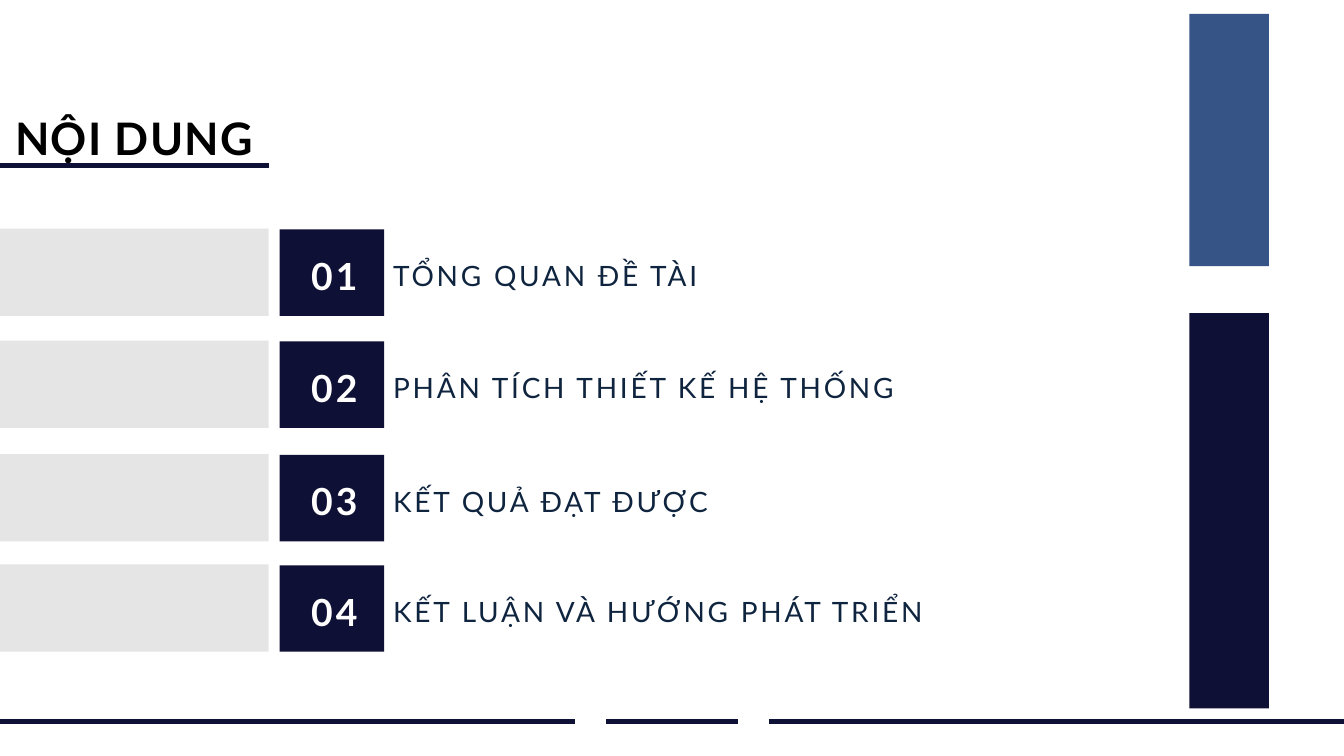
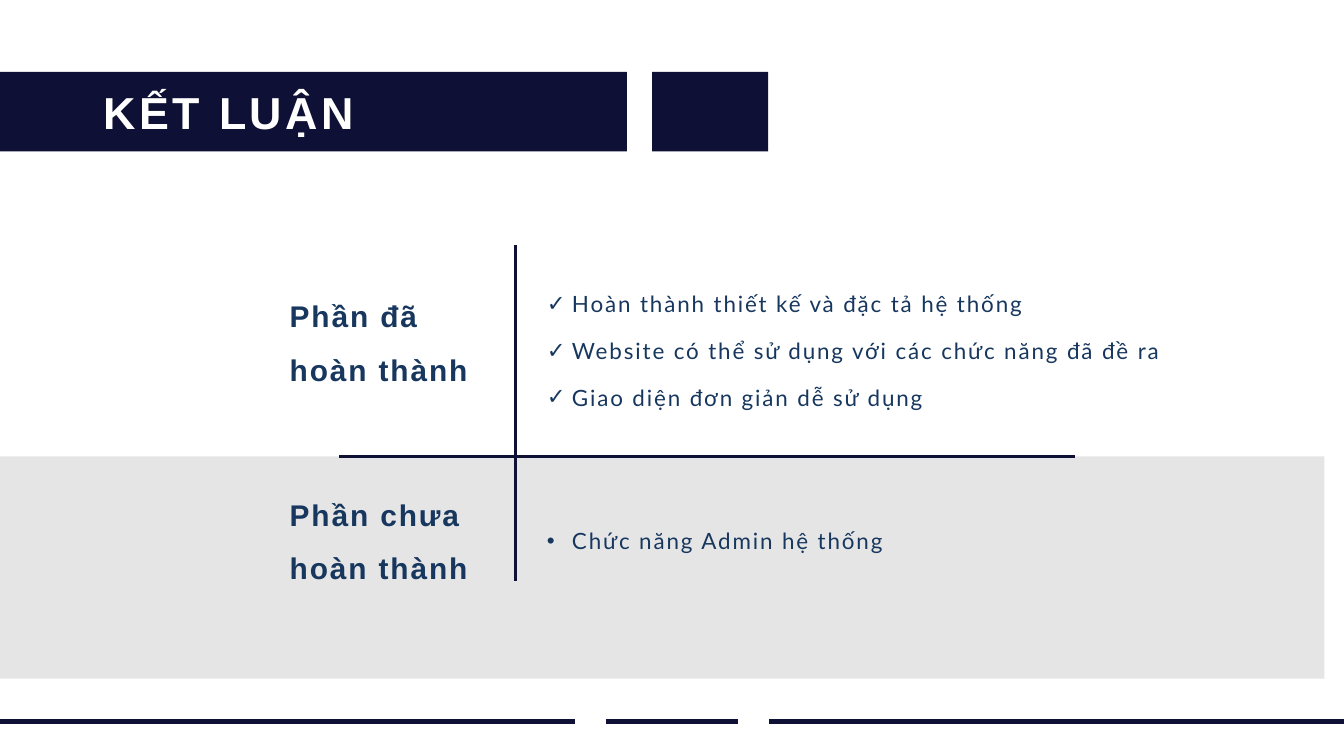
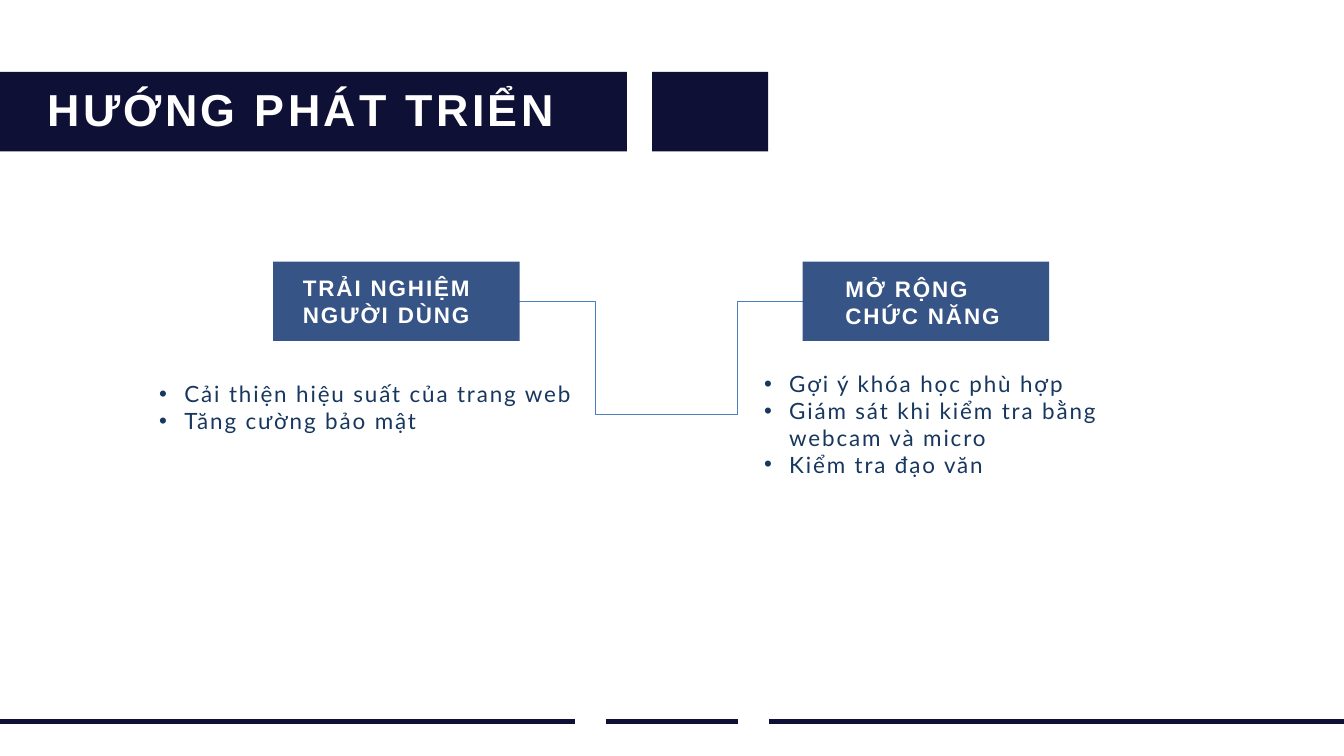
from lxml import etree
from pptx import Presentation
from pptx.dml.color import RGBColor
from pptx.enum.shapes import MSO_CONNECTOR, MSO_SHAPE
from pptx.enum.text import MSO_ANCHOR, MSO_AUTO_SIZE, PP_ALIGN
from pptx.oxml.ns import qn
from pptx.util import Cm, Pt

STRAIGHT, ELBOW = MSO_CONNECTOR.STRAIGHT, MSO_CONNECTOR.ELBOW
RECTANGLE = MSO_SHAPE.RECTANGLE
MIDDLE = MSO_ANCHOR.MIDDLE
GROW, FIXED = MSO_AUTO_SIZE.SHAPE_TO_FIT_TEXT, MSO_AUTO_SIZE.NONE
LEFT, CENTER, RIGHT = PP_ALIGN.LEFT, PP_ALIGN.CENTER, PP_ALIGN.RIGHT

NAVY = RGBColor(0x0F, 0x10, 0x35)
BLUE = RGBColor(0x36, 0x54, 0x86)
GREY = RGBColor(0xE5, 0xE5, 0xE5)
WHITE = RGBColor(0xFF, 0xFF, 0xFF)
BLACK = RGBColor(0x00, 0x00, 0x00)
INK = RGBColor(0x0F, 0x24, 0x3E)
BODY = RGBColor(0x17, 0x37, 0x5E)
LINK = RGBColor(0x4B, 0x7E, 0xBC)

LABEL = dict(font="Arial", size=32, color=BODY, bold=True, tracking=2, spacing=57.6)
CARD = dict(font="Arial", size=24, color=WHITE, bold=True, tracking=2)
LIST = dict(size=24, color=BODY, tracking=2, bullet="•")


def add_text(page, text, left, top, width, height, *, font="Lato", size=24, color=INK,
             bold=False, tracking=0, spacing=None, align=LEFT, bullet=None,
             inset=0.15, fit=FIXED):
    """Add a text box with one paragraph per line and return its paragraphs."""
    box = page.shapes.add_textbox(Cm(left), Cm(top), Cm(width), Cm(height))
    frame = box.text_frame
    frame.word_wrap = True
    frame.auto_size = fit
    frame.vertical_anchor = MIDDLE
    frame.margin_left = frame.margin_right = Cm(inset)
    frame.margin_top = frame.margin_bottom = Cm(inset)
    for number, line in enumerate(text.split("\n")):
        para = frame.add_paragraph() if number else frame.paragraphs[0]
        para.alignment = align
        if spacing:
            para.line_spacing = Pt(spacing)
        if bullet:
            properties = para._p.get_or_add_pPr()
            properties.set("marL", str(Cm(0.95)))
            properties.set("indent", str(-Cm(0.95)))
            etree.SubElement(properties, qn("a:buFont")).set("typeface", "Arial")
            etree.SubElement(properties, qn("a:buChar")).set("char", bullet)
        span = para.add_run()
        span.text = line
        span.font.name = font
        span.font.size = Pt(size)
        span.font.bold = bold
        span.font.color.rgb = color
        span._r.get_or_add_rPr().set("spc", str(round(tracking * 100)))
    return frame.paragraphs


def add_block(page, left, top, width, height, color):
    block = page.shapes.add_shape(RECTANGLE, Cm(left), Cm(top), Cm(width), Cm(height))
    block.shadow.inherit = False
    block.fill.solid()
    block.fill.fore_color.rgb = color
    block.line.fill.background()


deck = Presentation()
deck.slide_width, deck.slide_height = Cm(50.8), Cm(28.58)
contents, conclusion, future = pages = [
    deck.slides.add_slide(deck.slide_layouts[6]) for _ in range(3)]

# Contents: side bars, heading and numbered rows
add_block(contents, 44.96, 0.53, 3, 9.53, BLUE)
add_block(contents, 44.96, 11.84, 3, 14.94, NAVY)
add_text(contents, "NỘI DUNG", -0.08, 3.4, 10.31, 2.64, size=48, color=BLACK, bold=True,
         tracking=1.4, spacing=84, align=CENTER, inset=0, fit=GROW)
rows = [
    (8.64, "TỔNG QUAN ĐỀ TÀI"),
    (12.88, "PHÂN TÍCH THIẾT KẾ HỆ THỐNG"),
    (17.17, "KẾT QUẢ ĐẠT ĐƯỢC"),
    (21.34, "KẾT LUẬN VÀ HƯỚNG PHÁT TRIỂN"),
]
for number, (top, topic) in enumerate(rows, 1):
    add_block(contents, 0, top, 10.16, 3.3, GREY)
    add_block(contents, 10.57, top + 0.03, 3.95, 3.27, NAVY)
    add_text(contents, f"{number:02}", 9.73, top, 3.94, 3.2, size=40, color=WHITE,
             bold=True, tracking=3.6, spacing=57.6, align=RIGHT)
    add_text(contents, topic, 14.86, top + 0.99, 22.86, 1.37, size=30, tracking=3,
             spacing=42, inset=0, fit=GROW)

# Title bands of the two closing pages
add_block(conclusion, -0.74, 17.25, 50.8, 8.41, GREY)
for page, title, left, top in [(conclusion, "KẾT LUẬN", 3.78, 1.68),
                               (future, "HƯỚNG PHÁT TRIỂN", 1.65, 1.55)]:
    add_block(page, 0, 2.72, 23.7, 3, NAVY)
    add_block(page, 24.65, 2.72, 4.39, 3, NAVY)
    add_text(page, title, left, top, 23.06, 5.08, font="Arial", size=48, color=WHITE,
             bold=True, tracking=3.6, spacing=57.6)

# Lines: footer on every page, heading rule, cross and elbows
lines = [(page, STRAIGHT, start, 27.28, end, 27.28, NAVY, 6)
         for page in pages
         for start, end in [(0, 21.74), (22.91, 27.89), (29.06, 50.8)]]
lines += [
    (contents, STRAIGHT, 0, 6.25, 10.16, 6.25, NAVY, 6),
    (conclusion, STRAIGHT, 12.83, 17.25, 40.64, 17.25, NAVY, 3),
    (conclusion, STRAIGHT, 19.48, 9.27, 19.48, 21.97, NAVY, 3),
    (future, ELBOW, 19.63, 11.38, 25.4, 15.65, LINK, 0.75),
    (future, ELBOW, 30.38, 11.38, 25.4, 15.65, LINK, 0.75),
]
for page, kind, x1, y1, x2, y2, color, weight in lines:
    line = page.shapes.add_connector(kind, Cm(x1), Cm(y1), Cm(x2), Cm(y2))
    line.line.color.rgb = color
    line.line.width = Pt(weight)
    etree.SubElement(line._element.spPr, qn("a:effectLst"))

# Conclusion: finished and unfinished parts
add_text(conclusion, "Phần đã hoàn thành", 10.8, 10.06, 8.46, 5.08, **LABEL)
add_text(conclusion, "Phần chưa hoàn thành", 10.8, 17.58, 8.89, 5.08, **LABEL)
done = """Hoàn thành thiết kế và đặc tả hệ thống
Website có thể sử dụng với các chức năng đã đề ra
Giao diện đơn giản dễ sử dụng"""
add_text(conclusion, done, 20.52, 10.34, 24.33, 5.08, spacing=50, **{**LIST, "bullet": "✓"})
add_text(conclusion, "Chức năng Admin hệ thống", 20.52, 17.53, 22.71, 5.08,
         spacing=50, **LIST)

# Future work: two cards, each with a list
for left in (10.32, 30.34):
    add_block(future, left, 9.89, 9.32, 3, BLUE)
add_text(future, "TRẢI NGHIỆM NGƯỜI DÙNG", 11.3, 9.8, 7.32, 3.18, **CARD)
add_text(future, "MỞ RỘNG CHỨC NĂNG", 31.8, 9.83, 6.45, 3.18, **CARD)
experience = add_text(future, "Cải thiện hiệu suất của trang web\nTăng cường bảo mật",
                      5.87, 13.51, 16.51, 3, **LIST)
experience[0].line_spacing = Pt(50)
features = """Gợi ý khóa học phù hợp
Giám sát khi kiểm tra bằng webcam và micro
Kiểm tra đạo văn"""
add_text(future, features, 28.73, 13.72, 15.09, 4.6, **LIST)

deck.save("out.pptx")
